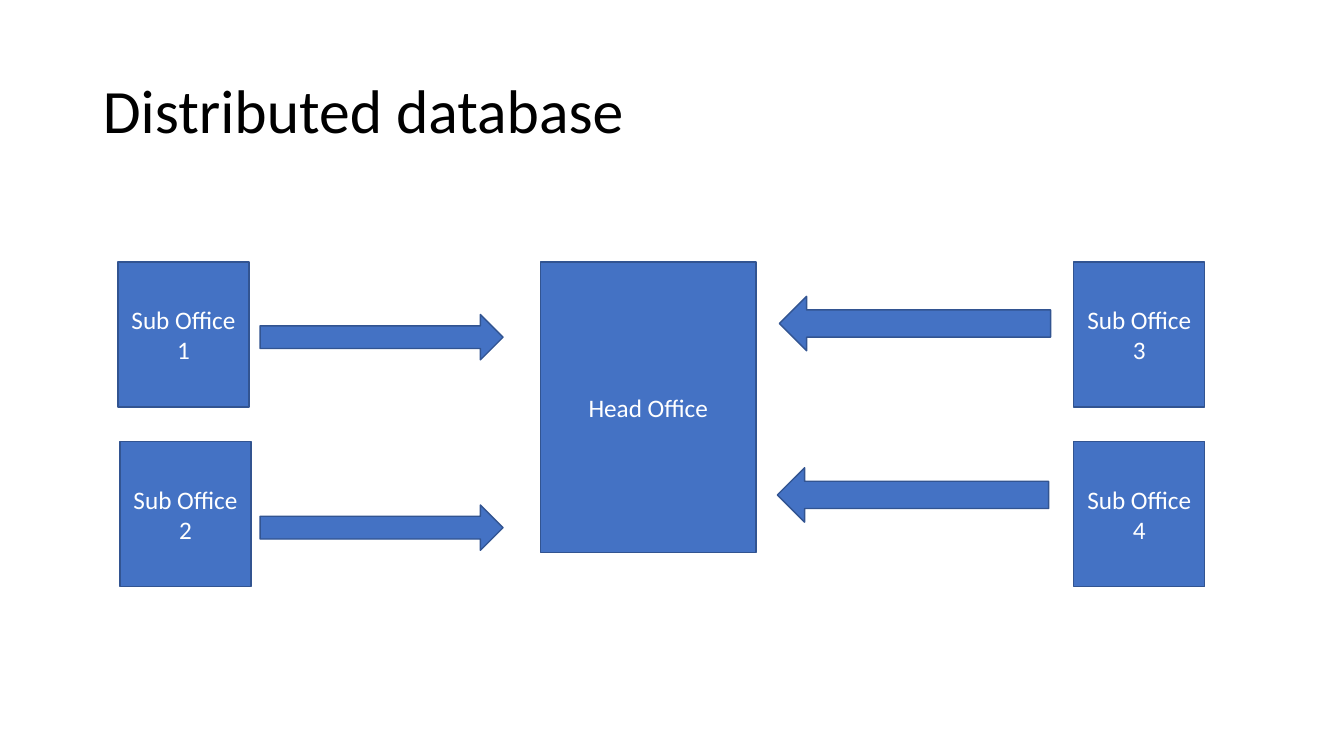
from pptx import Presentation
from pptx.dml.color import RGBColor
from pptx.enum.shapes import MSO_SHAPE
from pptx.enum.text import MSO_ANCHOR, PP_ALIGN
from pptx.util import Inches, Pt

RECTANGLE = MSO_SHAPE.RECTANGLE
RIGHT_ARROW = MSO_SHAPE.RIGHT_ARROW
LEFT_ARROW = MSO_SHAPE.LEFT_ARROW
MIDDLE = MSO_ANCHOR.MIDDLE
LEFT, CENTER = PP_ALIGN.LEFT, PP_ALIGN.CENTER

FONT = "Calibri"
BLACK, WHITE = "000000", "FFFFFF"
BLUE, DARK_BLUE = "4472C4", "325491"
TITLE_ONLY = 5
OFFICE_WIDTH, OFFICE_HEIGHT = 1.3, 1.44
ROW_PITCH = 1.78


def color(hex_value):
    return RGBColor.from_string(hex_value)


def write_text(shape, text, size=18, hex_value=WHITE, align=CENTER, line_spacing=1.0):
    frame = shape.text_frame
    frame.word_wrap = True
    frame.vertical_anchor = MIDDLE
    paragraph = frame.paragraphs[0]
    paragraph.text = text
    paragraph.alignment = align
    paragraph.line_spacing = line_spacing
    paragraph.font.name = FONT
    paragraph.font.size = Pt(size)
    paragraph.font.color.rgb = color(hex_value)


def add_block(slide, kind, left, top, width, height, text=None):
    shape = slide.shapes.add_shape(
        kind, Inches(left), Inches(top), Inches(width), Inches(height))
    shape.shadow.inherit = False
    shape.fill.solid()
    shape.fill.fore_color.rgb = color(BLUE)
    shape.line.color.rgb = color(DARK_BLUE)
    shape.line.width = Pt(1)
    if text:
        write_text(shape, text)


def add_title(slide, left, top, width, height):
    title = slide.shapes.title
    title.left, title.top = Inches(left), Inches(top)
    title.width, title.height = Inches(width), Inches(height)
    write_text(title, "Distributed database", size=44, hex_value=BLACK,
               align=LEFT, line_spacing=0.9)


def add_sub_offices(slide, left, top, first_number, lower_shift=0):
    for row in range(2):
        add_block(slide, RECTANGLE, left + row * lower_shift, top + row * ROW_PITCH,
                  OFFICE_WIDTH, OFFICE_HEIGHT, f"Sub Office {first_number + row}")


def add_arrows(slide, kind, left, top, width, height, pitch, lower_shift=0):
    for row in range(2):
        add_block(slide, kind, left + row * lower_shift, top + row * pitch, width, height)


def add_diagram(slide, left, top):
    # Head office in the centre
    add_block(slide, RECTANGLE, left + 4.19, top, 2.14, 2 * OFFICE_HEIGHT, "Head Office")
    # Sub offices on both sides
    add_sub_offices(slide, left, top, first_number=1, lower_shift=0.02)
    add_sub_offices(slide, left + 9.48, top, first_number=3)
    # Arrows towards the head office
    add_arrows(slide, RIGHT_ARROW, left + 1.41, top + 0.52, 2.41, 0.45, pitch=1.89)
    add_arrows(slide, LEFT_ARROW, left + 6.56, top + 0.34, 2.69, 0.54, pitch=1.7,
               lower_shift=-0.02)


def main():
    presentation = Presentation()
    presentation.slide_width = Inches(13.33)
    presentation.slide_height = Inches(7.5)
    slide = presentation.slides.add_slide(presentation.slide_layouts[TITLE_ONLY])
    add_title(slide, 0.92, 0.4, 11.5, 1.45)
    add_diagram(slide, 1.17, 2.6)
    presentation.save("out.pptx")


if __name__ == "__main__":
    main()
